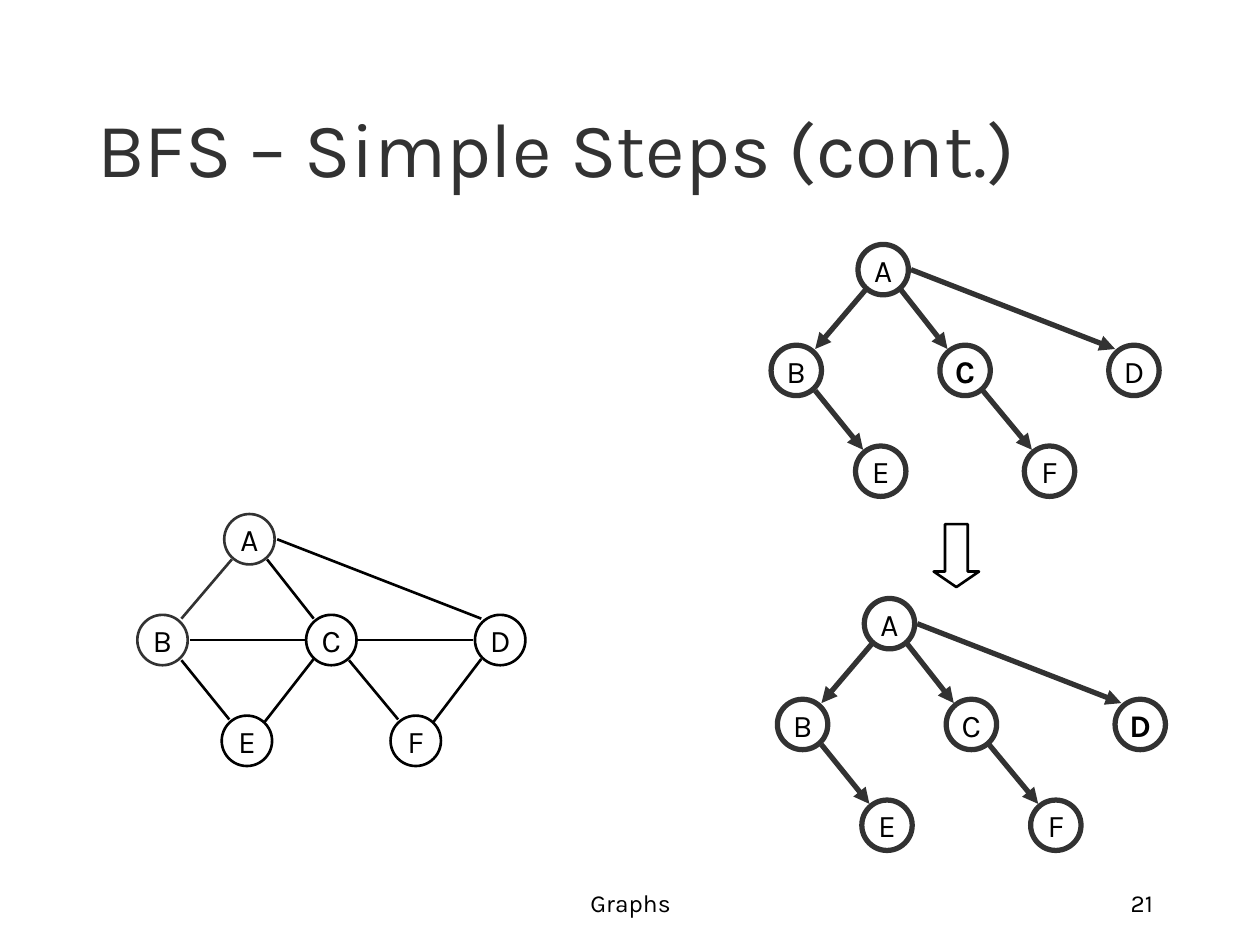
import pptx
import pptx.dml.color
import pptx.enum.shapes
import pptx.enum.text
import pptx.oxml
import pptx.oxml.ns
import pptx.util
from pptx.util import Inches

Align = pptx.enum.text.PP_ALIGN
Anchor = pptx.enum.text.MSO_ANCHOR
Shape = pptx.enum.shapes.MSO_SHAPE
BLACK, DARK = "000000", "323232"


def rgb(color):
    return pptx.dml.color.RGBColor.from_string(color)


def write(shape, text, size=18, color=BLACK, bold=False, align=Align.CENTER,
          anchor=Anchor.MIDDLE, wrap=True):
    frame = shape.text_frame
    frame.word_wrap = wrap
    frame.auto_size = pptx.enum.text.MSO_AUTO_SIZE.NONE
    frame.vertical_anchor = anchor
    paragraph = frame.paragraphs[0]
    paragraph.alignment = align
    run = paragraph.add_run()
    run.text = text
    run.font.name = "Karla"
    run.font.size = pptx.util.Pt(size)
    run.font.bold = bold
    run.font.color.rgb = rgb(color)


presentation = pptx.Presentation()
presentation.slide_width = Inches(10)
presentation.slide_height = Inches(7.5)
slide = presentation.slides.add_slide(presentation.slide_layouts[5])
slide.background.fill.solid()
slide.background.fill.fore_color.rgb = rgb("FFFFFF")

title = slide.shapes.title
title.left, title.top = Inches(0.67), Inches(0.33)
title.width, title.height = Inches(8.5), Inches(1.25)
write(title, "BFS – Simple Steps (cont.)", size=44, color=DARK,
      align=Align.LEFT, anchor=Anchor.BOTTOM)

for text, left, width, align in [("Graphs", 3.42, 3.17, Align.CENTER),
                                 ("21", 7.17, 2.08, Align.RIGHT)]:
    footer = slide.shapes.add_textbox(Inches(left), Inches(6.83), Inches(width), Inches(0.5))
    write(footer, text, size=14, align=align, anchor=Anchor.BOTTOM)

step_arrow = slide.shapes.add_shape(Shape.RIGHT_ARROW, Inches(7.34), Inches(4.23),
                                    Inches(0.5), Inches(0.36))
step_arrow.rotation = 90
step_arrow.adjustments[1] = 0.343
step_arrow.shadow.inherit = False
step_arrow.fill.background()
step_arrow.line.color.rgb = rgb(BLACK)
step_arrow.line.width = pptx.util.Pt(1.5)

# Nodes and edge ends are measured from the top left corner of node B.
nodes = {"A": (0.69, -0.8), "B": (0, 0), "C": (1.34, 0),
         "D": (2.68, 0), "E": (0.67, 0.8), "F": (2.01, 0.8)}
tree_edges = {"AB": (0.75, -0.44, 0.35, 0.03), "AC": (1.03, -0.44, 1.4, 0.03),
              "AD": (1.11, -0.6, 2.73, 0.03), "BE": (0.35, 0.36, 0.73, 0.83),
              "CF": (1.68, 0.36, 2.07, 0.83)}
cross_edges = {"BC": (0.42, 0.2, 1.33, 0.2), "CD": (1.75, 0.2, 2.66, 0.2),
               "CE": (1.4, 0.35, 1.01, 0.85), "DF": (2.73, 0.35, 2.35, 0.85)}
all_dark = set(nodes) | set(tree_edges)

graphs = [
    # left, top, edges, dark parts, current node, line width, directed
    (6.12, 2.74, tree_edges, all_dark, "C", 3, True),
    (6.17, 5.55, tree_edges, all_dark, "D", 3, True),
    (1.09, 4.88, tree_edges | cross_edges, {"A", "B", "AB"}, None, 1.5, False),
]
for left, top, edges, dark_parts, current, line_width, directed in graphs:
    shapes = slide.shapes.add_group_shape().shapes if directed else slide.shapes

    for name, (x1, y1, x2, y2) in edges.items():
        edge = shapes.add_connector(
            pptx.enum.shapes.MSO_CONNECTOR.STRAIGHT, Inches(left + x1), Inches(top + y1),
            Inches(left + x2), Inches(top + y2))
        edge.line.color.rgb = rgb(DARK if name in dark_parts else BLACK)
        edge.line.width = pptx.util.Pt(line_width)
        if directed:
            arrowhead = pptx.oxml.parse_xml(
                f'<a:tailEnd {pptx.oxml.ns.nsdecls("a")} type="triangle"/>')
            edge.line._get_or_add_ln().append(arrowhead)
        edge._element.spPr.append(
            pptx.oxml.parse_xml(f'<a:effectLst {pptx.oxml.ns.nsdecls("a")}/>'))

    for name, (x, y) in nodes.items():
        node = shapes.add_shape(Shape.OVAL, Inches(left + x), Inches(top + y),
                                Inches(0.4), Inches(0.4))
        node.shadow.inherit = False
        node.fill.background()
        node.line.color.rgb = rgb(DARK if name in dark_parts else BLACK)
        node.line.width = pptx.util.Pt(line_width)
        write(node, name, bold=name == current, wrap=False)

presentation.save("out.pptx")
